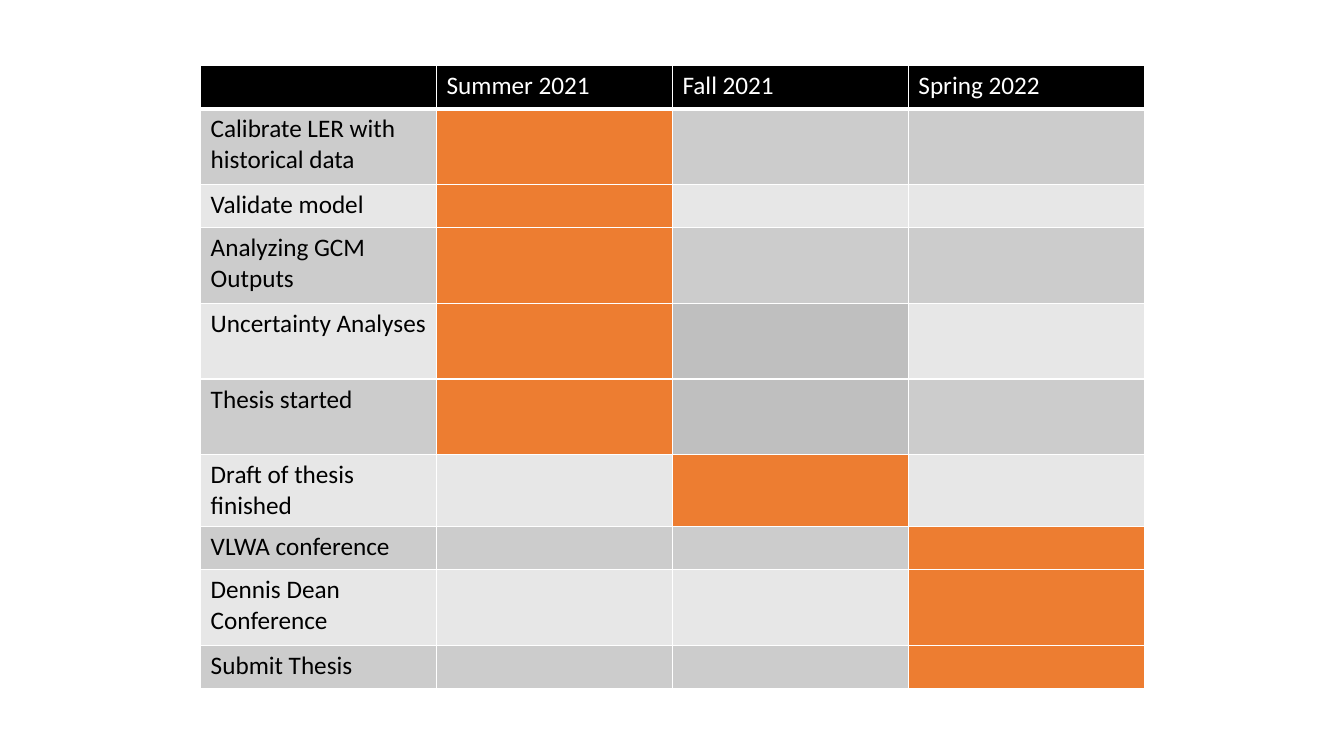
from lxml import etree
from pptx import Presentation
from pptx.dml.color import RGBColor
from pptx.oxml.ns import qn
from pptx.util import Inches, Pt

BLACK = RGBColor(0x00, 0x00, 0x00)
WHITE = RGBColor(0xFF, 0xFF, 0xFF)
ORANGE = RGBColor(0xED, 0x7D, 0x31)
DARK_BAND = RGBColor(0xCC, 0xCC, 0xCC)
LIGHT_BAND = RGBColor(0xE7, 0xE7, 0xE7)
SHADE = RGBColor(0xBF, 0xBF, 0xBF)

FONT = "Calibri"
SINGLE, DOUBLE, TIGHT = 0.43, 0.75, 0.7  # row heights in inches

TERMS = ["Summer 2021", "Fall 2021", "Spring 2022"]
# task, row height, active term, shaded term
TASKS = [
    ("Calibrate LER with historical data", DOUBLE, 0, None),
    ("Validate model", SINGLE, 0, None),
    ("Analyzing GCM Outputs", DOUBLE, 0, None),
    ("Uncertainty Analyses", DOUBLE, 0, 1),
    ("Thesis started", DOUBLE, 0, 1),
    ("Draft of thesis finished", TIGHT, 1, None),
    ("VLWA conference", SINGLE, 2, None),
    ("Dennis Dean Conference", DOUBLE, 2, None),
    ("Submit Thesis", SINGLE, 2, None),
]


def set_borders(cell, bottom=1):
    """Draw white cell borders; widths are in points."""
    tcPr = cell._tc.get_or_add_tcPr()
    for side, width in (("L", 1), ("R", 1), ("T", 1), ("B", bottom)):
        ln = etree.SubElement(tcPr, qn(f"a:ln{side}"), w=str(Pt(width)))
        fill = etree.SubElement(ln, qn("a:solidFill"))
        etree.SubElement(fill, qn("a:srgbClr"), val=str(WHITE))


def set_cell(cell, text="", fill=WHITE, color=BLACK, size=18, bottom=1):
    set_borders(cell, bottom)
    cell.fill.solid()
    cell.fill.fore_color.rgb = fill
    p = cell.text_frame.paragraphs[0]
    p.font.size = Pt(size)
    if text:
        r = p.add_run()
        r.text = text
        r.font.name = FONT
        r.font.size = Pt(size)
        r.font.bold = False
        r.font.color.rgb = color


def add_schedule(s, left, top, width):
    heights = [SINGLE] + [height for _, height, _, _ in TASKS]
    columns = len(TERMS) + 1
    table = s.shapes.add_table(len(heights), columns, Inches(left), Inches(top),
                               Inches(width), Inches(sum(heights))).table
    for column in table.columns:
        column.width = Inches(width / columns)
    for row, height in zip(table.rows, heights):
        row.height = Inches(height)

    for col, text in enumerate([""] + TERMS):
        set_cell(table.cell(0, col), text, fill=BLACK, color=WHITE, bottom=3)
    for row, (task, _, active, shaded) in enumerate(TASKS, start=1):
        band = DARK_BAND if row % 2 else LIGHT_BAND
        set_cell(table.cell(row, 0), task, fill=band)
        for term in range(len(TERMS)):
            fill = ORANGE if term == active else SHADE if term == shaded else band
            set_cell(table.cell(row, term + 1), fill=fill)


def main():
    prs = Presentation()
    prs.slide_width, prs.slide_height = Inches(13.33), Inches(7.5)
    s = prs.slides.add_slide(prs.slide_layouts[6])
    add_schedule(s, left=1.99, top=0.65, width=9.36)
    prs.save("out.pptx")


if __name__ == "__main__":
    main()
